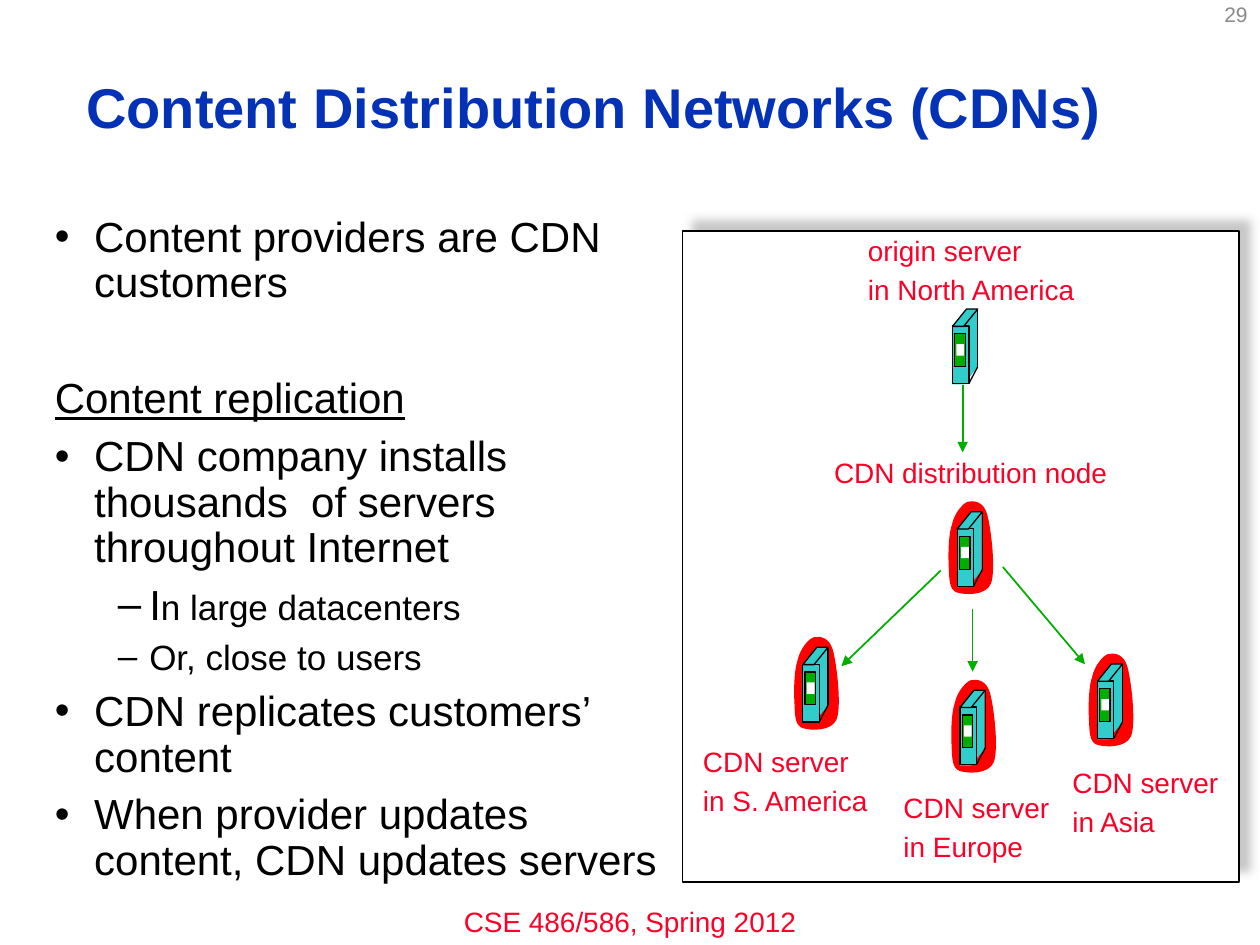
from lxml import etree
from pptx import Presentation
from pptx.dml.color import RGBColor
from pptx.enum.shapes import MSO_CONNECTOR, MSO_SHAPE
from pptx.enum.text import MSO_ANCHOR, PP_ALIGN
from pptx.oxml.ns import qn
from pptx.util import Pt

RECT, SLANT = MSO_SHAPE.RECTANGLE, MSO_SHAPE.PARALLELOGRAM
STRAIGHT = MSO_CONNECTOR.STRAIGHT
TOP, MIDDLE = MSO_ANCHOR.TOP, MSO_ANCHOR.MIDDLE
LEFT, CENTER, RIGHT = PP_ALIGN.LEFT, PP_ALIGN.CENTER, PP_ALIGN.RIGHT
FONT = "Arial"
COLORS = {"title": "0332B7", "text": "000000", "label": "FC0128", "number": "898989",
          "panel": "FFFFFF", "shadow": "919191", "server": "33CCCC", "slot": "00AE00",
          "glow": "FF0000", "arrow": "00AE00", "outline": "000000"}

# Start point, then cubic segments (two controls and an end), in points
GLOW_START = (2.2, 13.7)
GLOW_CURVES = [
    (3.6, 7.2), (8.6, 1.4), (11.5, 0.7),
    (15.1, 0), (20.2, 0.7), (22.3, 7.9),
    (24.5, 15.8), (27.4, 39.6), (24.5, 47.5),
    (21.6, 54.7), (9.4, 54), (5, 52.6),
    (0.7, 51.1), (0.7, 45.4), (0.4, 38.9),
    (0, 32.4), (0, 20.2), GLOW_START,
]
# Shape, left, top, width, height, fill, outlined
SERVER_PARTS = [
    (SLANT, 0, 33.1, 14.4, 10, "server", False),
    (RECT, 7.2, 0.7, 6.8, 33, "server", False),
    (RECT, 0, 9.7, 9.4, 33, "server", True),
    (SLANT, 0, 0, 14.4, 9.9, "server", True),
    (RECT, 1.3, 14.2, 6, 18.7, "slot", True),
    (RECT, 2.2, 20.1, 4.5, 6.5, "panel", False),
]
SERVER_EDGES = [(14.4, 0.5, 14.4, 33), (14.4, 33, 9.4, 42.5)]

# Servers, labels and arrows are placed from the panel's corner
SERVERS = [(154.3, 44.6, False), (157, 160.4, True), (68.8, 237.9, True),
           (158.6, 262.4, True), (237.1, 247.4, True)]
LABELS = [
    (98.9, -2, 134, ["origin server", "in North America"]),
    (79.5, 124.6, 171, ["CDN distribution node"]),
    (4.6, 289.9, 109, ["CDN server", "in S. America"]),
    (119.2, 316, 98, ["CDN server", "in Europe"]),
    (215.7, 301.8, 98, ["CDN server", "in Asia"]),
]
ARROWS = [(160.1, 88.3, 160.1, 126.5), (147.6, 194, 90.8, 248.7),
          (165.8, 215.8, 165.8, 251.8), (183.1, 192, 230, 247.6)]

# Bullet, space before, runs of (text, size)
BODY = [
    ("•", 0, [("Content providers are CDN customers", 24)]),
    (None, 40.4, [("Content replication", 24)]),
    ("•", 7.2, [("CDN company installs thousands  of servers throughout Internet", 24)]),
    ("–", 7.2, [("I", 24), ("n large datacenters", 20)]),
    ("–", 6, [("Or, close to users", 20)]),
    ("•", 7.2, [("CDN replicates customers’ content", 24)]),
    ("•", 7.2, [("When provider updates content, CDN updates servers", 24)]),
]
INDENTS = {"•": (22.5, -22.5), "–": (54, -18), None: (22.5, -22.5)}


def rgb(name):
    """Return the named colour."""
    return RGBColor.from_string(COLORS[name])


def style_run(r, size, color, bold=False):
    """Set the font of a run."""
    r.font.name, r.font.size, r.font.bold = FONT, Pt(size), bold
    r.font.color.rgb = rgb(color)


def paint(sp, fill, outlined=False):
    """Fill a shape and give it a thin outline or none."""
    sp.shadow.inherit = False
    sp.fill.solid()
    sp.fill.fore_color.rgb = rgb(fill)
    if outlined:
        sp.line.color.rgb = rgb("outline")
        sp.line.width = Pt(0.75)
    else:
        sp.line.fill.background()


def add_text(s, box, lines, size, color, align=LEFT, anchor=TOP, wrap=True,
             bold=False, gap=0, spacing=1.0):
    """Add a text box with one paragraph for each line."""
    tf = s.shapes.add_textbox(*map(Pt, box)).text_frame
    tf.word_wrap, tf.vertical_anchor = wrap, anchor
    tf.text = "\n".join(lines)
    for i, p in enumerate(tf.paragraphs):
        p.alignment, p.line_spacing = align, spacing
        p.space_before = Pt(gap if i else 0)
        style_run(p.runs[0], size, color, bold)


def add_line(shapes, ends, color, width, arrow=False):
    """Add a straight line, with an arrowhead at its end if asked."""
    ln = shapes.add_connector(STRAIGHT, *map(Pt, ends))
    ln.line.color.rgb = rgb(color)
    ln.line.width = Pt(width)
    etree.SubElement(ln._element.spPr, qn("a:effectLst"))
    if arrow:
        etree.SubElement(ln.line._get_or_add_ln(), qn("a:tailEnd"), type="triangle")


def add_glow(shapes, x, y):
    """Add the red outline behind a CDN server, as cubic curves."""
    outline = shapes.build_freeform(Pt(x + GLOW_START[0]), Pt(y + GLOW_START[1]))
    outline.add_line_segments([(Pt(x + dx), Pt(y + dy)) for dx, dy in GLOW_CURVES])
    sp = outline.convert_to_shape()
    paint(sp, "glow")
    lines = list(sp._element.iter(qn("a:lnTo")))
    track = lines[0].getparent()
    for i in range(0, len(lines), 3):
        curve = etree.SubElement(track, qn("a:cubicBezTo"))
        for line in lines[i:i + 3]:
            curve.append(line[0])
            track.remove(line)
    etree.SubElement(track, qn("a:close"))


def add_server(s, x, y, glowing):
    """Add a server tower as a group with its top left corner at x, y."""
    shapes = s.shapes.add_group_shape().shapes
    if glowing:
        add_glow(shapes, x - 5.2, y - 6.4)
    for kind, dx, dy, w, h, fill, outlined in SERVER_PARTS:
        sp = shapes.add_shape(kind, Pt(x + dx), Pt(y + dy), Pt(w), Pt(h))
        if kind == SLANT:
            sp.adjustments[0] = 0.81
        paint(sp, fill, outlined)
    for x1, y1, x2, y2 in SERVER_EDGES:
        add_line(shapes, (x + x1, y + y1, x + x2, y + y2), "outline", 0.75)


def add_panel(s, box):
    """Add the white panel with its shadow."""
    sp = s.shapes.add_shape(RECT, *map(Pt, box))
    paint(sp, "panel", True)
    effects = sp._element.spPr.find(qn("a:effectLst"))
    shadow = etree.SubElement(effects, qn("a:outerShdw"), blurRad=str(Pt(5)),
                              dist=str(Pt(8.5)), dir=str(315 * 60000))
    color = etree.SubElement(shadow, qn("a:srgbClr"), val=COLORS["shadow"])
    etree.SubElement(color, qn("a:alpha"), val="50000")


def add_diagram(s, box):
    """Draw the distribution network inside the box."""
    left, top = box[:2]
    add_panel(s, box)
    for x, y, glowing in SERVERS:
        add_server(s, left + x, top + y, glowing)
    for x, y, w, lines in LABELS:
        h = 26.6 if len(lines) == 1 else 49.7
        add_text(s, (left + x, top + y, w, h), lines, 16, "label", wrap=False, gap=3.2)
    for x1, y1, x2, y2 in ARROWS:
        add_line(s.shapes, (left + x1, top + y1, left + x2, top + y2), "arrow", 1, True)


def add_body(s, box):
    """Add the bulleted text."""
    tf = s.shapes.add_textbox(*map(Pt, box)).text_frame
    tf.word_wrap = True
    for i, (bullet, gap, runs) in enumerate(BODY):
        p = tf.add_paragraph() if i else tf.paragraphs[0]
        p.line_spacing, p.space_before = 0.9, Pt(gap)
        p.level = 1 if bullet == "–" else 0
        pPr = p._p.get_or_add_pPr()
        margin, indent = INDENTS[bullet]
        pPr.set("marL", str(Pt(margin)))
        pPr.set("indent", str(Pt(indent)))
        if bullet:
            etree.SubElement(pPr, qn("a:buFont"), typeface=FONT)
            etree.SubElement(pPr, qn("a:buChar"), char=bullet)
        else:
            etree.SubElement(pPr, qn("a:buNone"))
        for text, size in runs:
            r = p.add_run()
            r.text = text
            style_run(r, size, "text")
            r.font.underline = bullet is None


prs = Presentation()
prs.slide_width, prs.slide_height = Pt(720), Pt(540)
s = prs.slides.add_slide(prs.slide_layouts[6])
add_text(s, (240, 513.4, 240, 26.6), ["CSE 486/586, Spring 2012"], 16, "label", CENTER)
add_text(s, (42.2, 18, 632, 90), ["Content Distribution Networks (CDNs)"], 32, "title",
         anchor=MIDDLE, bold=True, spacing=0.9)
add_body(s, (24.2, 120, 372, 372))
add_diagram(s, (390, 132, 318, 372))
add_text(s, (552, -6, 168, 28.6), ["29"], 12, "number", RIGHT, MIDDLE)
prs.save("out.pptx")
